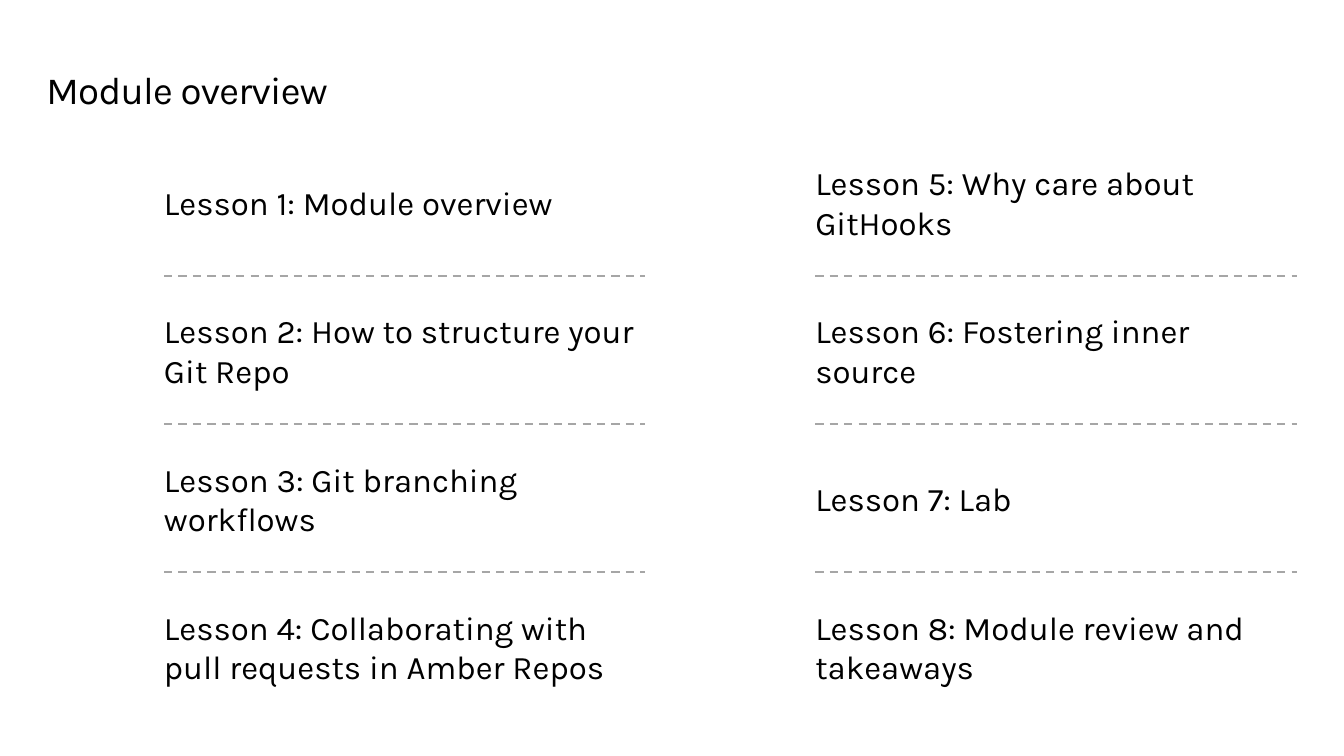
from dataclasses import dataclass
from typing import Optional

from lxml import etree
from pptx import Presentation
from pptx import util as u
from pptx.dml.color import RGBColor
from pptx.enum import dml, shapes, text
from pptx.oxml.ns import qn
from pptx.slide import Slide

EMU_PER_PX = 9144  # 100 px to the inch


@dataclass(frozen=True)
class Theme:
    font: str = "Karla"
    ink: RGBColor = RGBColor(0x00, 0x00, 0x00)
    rule: RGBColor = RGBColor(0xA6, 0xA6, 0xA6)
    title_size: float = 28
    lesson_size: float = 24
    rule_width: float = 1.5


@dataclass(frozen=True)
class Column:
    left: int
    lessons: tuple[str, ...]


THEME = Theme()
COLUMN_WIDTH = 487
FIRST_ROW_TOP = 164
ROW_HEIGHT = 81
ROW_PITCH = 150
RULE_OFFSET = 115  # from the top of a row to the rule below it

COLUMNS = (
    Column(166, (
        "Lesson 1: Module overview",
        "Lesson 2: How to structure your Git Repo",
        "Lesson 3: Git branching workflows",
        "Lesson 4: Collaborating with pull requests in Amber Repos",
    )),
    Column(825, (
        "Lesson 5: Why care about GitHooks",
        "Lesson 6: Fostering inner source",
        "Lesson 7: Lab",
        "Lesson 8: Module review and takeaways",
    )),
)


def px(length: int) -> u.Emu:
    return u.Emu(length * EMU_PER_PX)


def add_text(page: Slide, words: str, *, left: int, top: int, width: int,
             height: int, size: float, anchor: text.MSO_ANCHOR,
             line_spacing: Optional[float] = None, space_after: float = 0,
             tracking: float = 0) -> None:
    box = page.shapes.add_textbox(px(left), px(top), px(width), px(height))
    frame = box.text_frame
    frame.word_wrap = True
    frame.vertical_anchor = anchor
    frame.margin_left = frame.margin_right = 0
    frame.margin_top = frame.margin_bottom = 0
    para = frame.paragraphs[0]
    para.space_after = u.Pt(space_after)
    if line_spacing is not None:
        para.line_spacing = u.Pt(line_spacing)
    span = para.add_run()
    span.text = words
    span.font.name = THEME.font
    span.font.size = u.Pt(size)
    span.font.color.rgb = THEME.ink
    if tracking:
        span.font._element.set("spc", str(round(tracking * 100)))


def add_rule(page: Slide, left: int, top: int) -> None:
    rule = page.shapes.add_connector(
        shapes.MSO_CONNECTOR.STRAIGHT,
        px(left), px(top), px(left + COLUMN_WIDTH), px(top))
    rule.line.color.rgb = THEME.rule
    rule.line.width = u.Pt(THEME.rule_width)
    rule.line.dash_style = dml.MSO_LINE.DASH
    etree.SubElement(rule._element.spPr, qn("a:effectLst"))


def add_column(page: Slide, column: Column) -> None:
    for row, lesson in enumerate(column.lessons):
        top = FIRST_ROW_TOP + row * ROW_PITCH
        add_text(page, lesson, left=column.left, top=top, width=COLUMN_WIDTH,
                 height=ROW_HEIGHT, size=THEME.lesson_size,
                 anchor=text.MSO_ANCHOR.MIDDLE, space_after=6)
        if row < len(column.lessons) - 1:
            add_rule(page, column.left, top + RULE_OFFSET)


def main() -> None:
    deck = Presentation()
    deck.slide_width, deck.slide_height = px(1360), px(765)
    page = deck.slides.add_slide(deck.slide_layouts[6])
    add_text(page, "Module overview", left=47, top=69, width=1265, height=45,
             size=THEME.title_size, anchor=text.MSO_ANCHOR.TOP,
             line_spacing=32, tracking=-0.5)
    for column in COLUMNS:
        add_column(page, column)
    deck.save("out.pptx")


if __name__ == "__main__":
    main()
